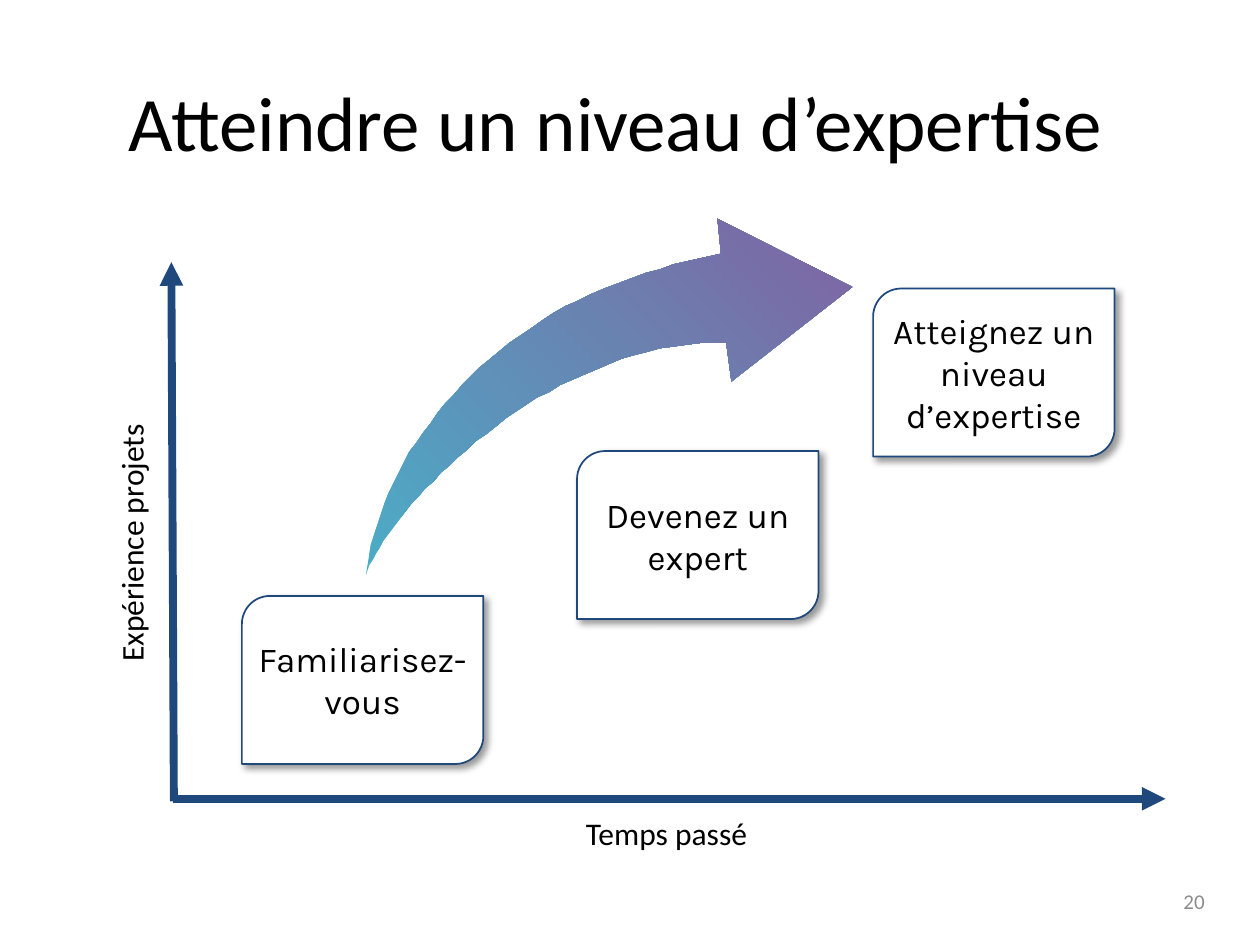
from lxml.etree import SubElement
from pptx import Presentation
from pptx.dml.color import RGBColor
from pptx.enum.shapes import MSO_CONNECTOR, MSO_SHAPE
from pptx.enum.text import MSO_ANCHOR, PP_ALIGN
from pptx.oxml.ns import qn
from pptx.util import Pt

HUES = {"navy": "1F497D", "white": "FFFFFF", "black": "000000",
        "gray": "8C8C8C", "teal": "4BACC6", "plum": "8064A2"}
TITLE = ("Atteindre un niveau d’expertise", (66.24, 23.76, 635.76, 90))
STEPS = [
    ("Familiarisez-vous", 138.24, 340.56),
    ("Devenez un expert", 329.76, 257.76),
    ("Atteignez un niveau d’expertise", 498.96, 164.88),
]
CARD = (138, 96)
AXES = [(98.64, 456.48, 666, 456.48), (99.36, 457.92, 97.92, 149.76)]
LABELS = [
    ("Temps passé", (113.76, 461.52, 534.24, 28.8), 0, 18, "black",
     PP_ALIGN.CENTER, MSO_ANCHOR.TOP),
    ("Expérience projets", (-71.28, 295.92, 292.32, 28.8), 270, 18, "black",
     PP_ALIGN.CENTER, MSO_ANCHOR.TOP),
    ("20", (527.76, 500.4, 167.76, 28.8), 0, 12, "gray",
     PP_ALIGN.RIGHT, MSO_ANCHOR.MIDDLE),
]
OUTER = [(208.8, 329.04), (219.6, 249.84), (290.16, 166.32), (411.84, 145.44)]
HEAD = [(409.68, 124.56), (486.72, 164.16), (418.32, 218.16), (415.44, 195.84)]
INNER = [HEAD[-1], (311.04, 193.68), (221.04, 292.32), OUTER[0]]


def hue(name):
    """Return the named colour."""
    return RGBColor.from_string(HUES[name])


def write(shape, text, size, face="Calibri", tint="black",
          align=PP_ALIGN.CENTER, anchor=MSO_ANCHOR.MIDDLE):
    """Put one formatted run in a shape."""
    frame = shape.text_frame
    frame.word_wrap = True
    frame.vertical_anchor = anchor
    para = frame.paragraphs[0]
    para.alignment = align
    run = para.add_run()
    run.text = text
    run.font.size = Pt(size)
    run.font.name = face
    run.font.color.rgb = hue(tint)


def curve(ends, count=40):
    """Return points along a cubic curve, without its start."""
    def spot(t):
        parts = ((1 - t) ** 3, 3 * t * (1 - t) ** 2, 3 * t * t * (1 - t), t ** 3)
        return tuple(sum(w * p[i] for w, p in zip(parts, ends)) for i in (0, 1))
    return [spot(n / count) for n in range(1, count + 1)]


def draw_axis(slide, ends):
    """Draw an axis that ends in an arrowhead."""
    axis = slide.shapes.add_connector(MSO_CONNECTOR.STRAIGHT, *map(Pt, ends))
    axis.line.color.rgb = hue("navy")
    axis.line.width = Pt(4.5)
    SubElement(axis.line._get_or_add_ln(), qn("a:tailEnd"), type="triangle")
    SubElement(axis._element.spPr, qn("a:effectLst"))


def draw_card(slide, text, left, top):
    """Draw one step card with its soft shadow."""
    card = slide.shapes.add_shape(MSO_SHAPE.ROUND_2_DIAG_RECTANGLE,
                                  *map(Pt, (left, top, *CARD)))
    card.fill.solid()
    card.fill.fore_color.rgb = hue("white")
    card.line.color.rgb = hue("navy")
    card.line.width = Pt(1)
    card.shadow.inherit = False
    glow = SubElement(card._element.spPr.find(qn("a:effectLst")), qn("a:outerShdw"),
                      blurRad=str(Pt(4)), dist=str(Pt(3)), dir="2700000",
                      algn="tl", rotWithShape="0")
    shade = SubElement(glow, qn("a:srgbClr"), val=HUES["black"])
    SubElement(shade, qn("a:alpha"), val="40000")
    frame = card.text_frame
    frame.margin_left = frame.margin_right = Pt(3.6)
    frame.margin_top = frame.margin_bottom = Pt(3.6)
    write(card, text, 20, "Karla")


def draw_arrow(slide):
    """Draw the swept arrow with its gradient."""
    pen = slide.shapes.build_freeform(*OUTER[0], scale=Pt(1))
    pen.add_line_segments(curve(OUTER) + HEAD + curve(INNER), close=True)
    arrow = pen.convert_to_shape()
    arrow.shadow.inherit = False
    arrow.line.fill.background()
    arrow.fill.gradient()
    arrow.fill.gradient_angle = 45
    for stop, place, name in zip(arrow.fill.gradient_stops, (0, 1), ("teal", "plum")):
        stop.position = place
        stop.color.rgb = hue(name)


def main():
    """Build and save the slide."""
    deck = Presentation()
    deck.slide_width, deck.slide_height = Pt(720), Pt(540)
    slide = deck.slides.add_slide(deck.slide_layouts[5])
    head = slide.shapes.title
    text, box = TITLE
    head.left, head.top, head.width, head.height = map(Pt, box)
    write(head, text, 44, align=PP_ALIGN.LEFT)
    for ends in AXES:
        draw_axis(slide, ends)
    for text, box, turn, size, tint, align, anchor in LABELS:
        label = slide.shapes.add_textbox(*map(Pt, box))
        label.rotation = turn
        write(label, text, size, tint=tint, align=align, anchor=anchor)
    for step in STEPS:
        draw_card(slide, *step)
    draw_arrow(slide)
    deck.save("out.pptx")


if __name__ == "__main__":
    main()
